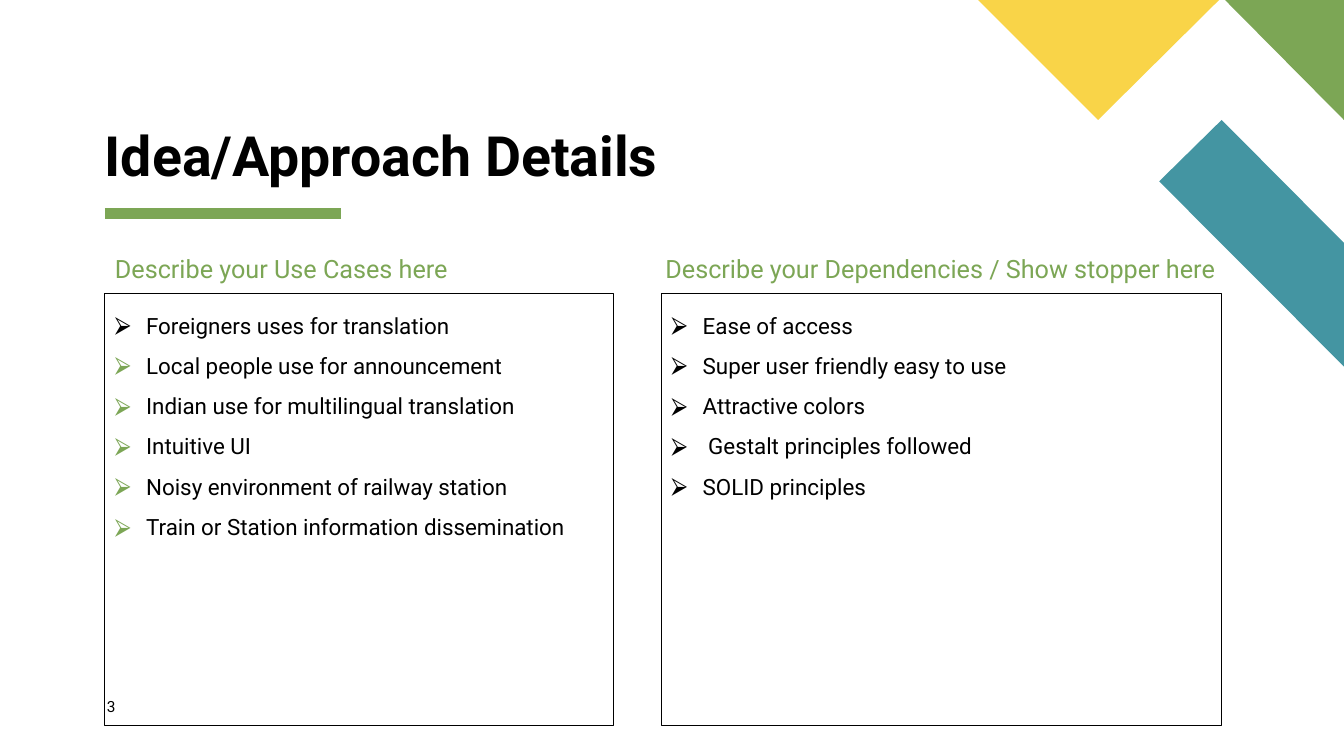
from dataclasses import dataclass

from lxml.etree import SubElement
from pptx import Presentation
from pptx.dml.color import RGBColor
from pptx.enum.shapes import MSO_CONNECTOR as Connector
from pptx.enum.text import MSO_ANCHOR as Anchor, MSO_AUTO_SIZE as AutoSize, PP_ALIGN as Align
from pptx.oxml.ns import qn
from pptx.util import Inches, Pt

WIDTH, HEIGHT = Inches(13.33), Inches(7.5)


@dataclass(frozen=True)
class Theme:
    font: str = "Roboto"
    ink: str = "000000"
    green: str = "7CA655"
    teal: str = "4495A2"
    yellow: str = "F9D448"
    title_size: float = 39.6
    heading_size: float = 18
    list_size: float = 16
    number_size: float = 11
    rule_width: float = 8
    border_width: float = 0.75


THEME = Theme()

USE_CASES = [
    "Foreigners uses for translation",
    "Local people use for announcement",
    "Indian use for multilingual translation",
    "Intuitive UI",
    "Noisy environment of railway station",
    "Train or Station information dissemination",
]
DEPENDENCIES = [
    "Ease of access",
    "Super user friendly easy to use",
    "Attractive colors",
    " Gestalt principles followed",
    "SOLID principles",
]


# Positions are percentages of the slide's width and height
def across(share):
    return round(WIDTH * share / 100)


def down(share):
    return round(HEIGHT * share / 100)


def place(shape, left, top, width, height):
    shape.left, shape.top = across(left), down(top)
    shape.width, shape.height = across(width), down(height)


def colour(value):
    return RGBColor.from_string(value)


# Text
def prepare_frame(shape, anchor=Anchor.TOP, inset=(0.1, 0.05)):
    frame = shape.text_frame
    frame.word_wrap = True
    frame.auto_size = AutoSize.NONE
    frame.vertical_anchor = anchor
    frame.margin_left = frame.margin_right = Inches(inset[0])
    frame.margin_top = frame.margin_bottom = Inches(inset[1])
    return frame


def write(paragraph, text, size, ink=THEME.ink, bold=False, spacing=0.9):
    paragraph.alignment = Align.LEFT
    paragraph.line_spacing = spacing
    paragraph.space_before = paragraph.space_after = Pt(0)
    run = paragraph.add_run()
    run.text = text
    run.font.name = THEME.font
    run.font.size = Pt(size)
    run.font.bold = bold
    run.font.color.rgb = colour(ink)


def set_indent(paragraph, indent):
    properties = paragraph._p.get_or_add_pPr()
    properties.set("marL", str(indent))
    properties.set("indent", str(-indent))
    return properties


def add_bullet(paragraph, ink):
    properties = set_indent(paragraph, Inches(0.31))
    bullet_colour = SubElement(properties, qn("a:buClr"))
    SubElement(bullet_colour, qn("a:srgbClr"), val=ink)
    SubElement(properties, qn("a:buFont"), typeface=THEME.font)
    SubElement(properties, qn("a:buChar"), char="⮚")


def fill_title(shape, text):
    place(shape, 7.8, 16, 47.4, 8.93)
    frame = prepare_frame(shape, Anchor.BOTTOM, (0, 0))
    write(frame.paragraphs[0], text, THEME.title_size, bold=True)


def fill_heading(shape, text, left, width):
    place(shape, left, 33.33, width, 4.67)
    paragraph = prepare_frame(shape).paragraphs[0]
    write(paragraph, text, THEME.heading_size, THEME.green)
    set_indent(paragraph, 0)


def fill_list(shape, items, left, width, bullet_inks):
    place(shape, left, 38.8, width, 57.2)
    shape.line.color.rgb = colour(THEME.ink)
    shape.line.width = Pt(THEME.border_width)
    frame = prepare_frame(shape)
    for index, (item, ink) in enumerate(zip(items, bullet_inks)):
        paragraph = frame.add_paragraph() if index else frame.paragraphs[0]
        write(paragraph, item, THEME.list_size, spacing=1.5)
        add_bullet(paragraph, ink)


def add_page_number(slide, text):
    box = slide.shapes.add_textbox(0, 0, 0, 0)
    place(box, 7.95, 92.27, 4.28, 3.6)
    frame = prepare_frame(box, inset=(0, 0))
    write(frame.paragraphs[0], text, THEME.number_size, spacing=1)


# Decoration
def add_polygon(slide, points, ink):
    start, *rest = [(across(x), down(y)) for x, y in points]
    builder = slide.shapes.build_freeform(*start)
    builder.add_line_segments(rest, close=True)
    shape = builder.convert_to_shape()
    shape.shadow.inherit = False
    shape.fill.solid()
    shape.fill.fore_color.rgb = colour(ink)
    shape.line.fill.background()


def add_rule(slide, left, right, top):
    rule = slide.shapes.add_connector(
        Connector.STRAIGHT, across(left), down(top), across(right), down(top))
    rule.line.color.rgb = colour(THEME.green)
    rule.line.width = Pt(THEME.rule_width)
    SubElement(rule._element.spPr, qn("a:effectLst"))


def main():
    presentation = Presentation()
    presentation.slide_width, presentation.slide_height = WIDTH, HEIGHT
    comparison_layout = presentation.slide_layouts[4]
    slide = presentation.slides.add_slide(comparison_layout)

    # Corner shapes and title rule
    add_rule(slide, 7.8, 25.35, 28.27)
    add_polygon(slide, [(100, 48.5), (100, 32.15), (90.9, 15.87), (86.25, 24)], THEME.teal)
    add_polygon(slide, [(100, 15.87), (100, 0), (91.15, 0)], THEME.green)
    add_polygon(slide, [(72.77, 0), (81.7, 15.87), (90.7, 0)], THEME.yellow)

    # Title and the two columns
    title, left_heading, left_list, right_heading, right_list = slide.placeholders
    fill_title(title, "Idea/Approach Details")
    fill_heading(left_heading, "Describe your Use Cases here", 7.8, 39.7)
    fill_list(left_list, USE_CASES, 7.8, 37.88,
              [THEME.ink] + [THEME.green] * (len(USE_CASES) - 1))
    fill_heading(right_heading, "Describe your Dependencies / Show stopper here", 48.76, 43.44)
    fill_list(right_list, DEPENDENCIES, 49.21, 41.71, [THEME.ink] * len(DEPENDENCIES))
    add_page_number(slide, "3")

    presentation.save("out.pptx")


if __name__ == "__main__":
    main()
